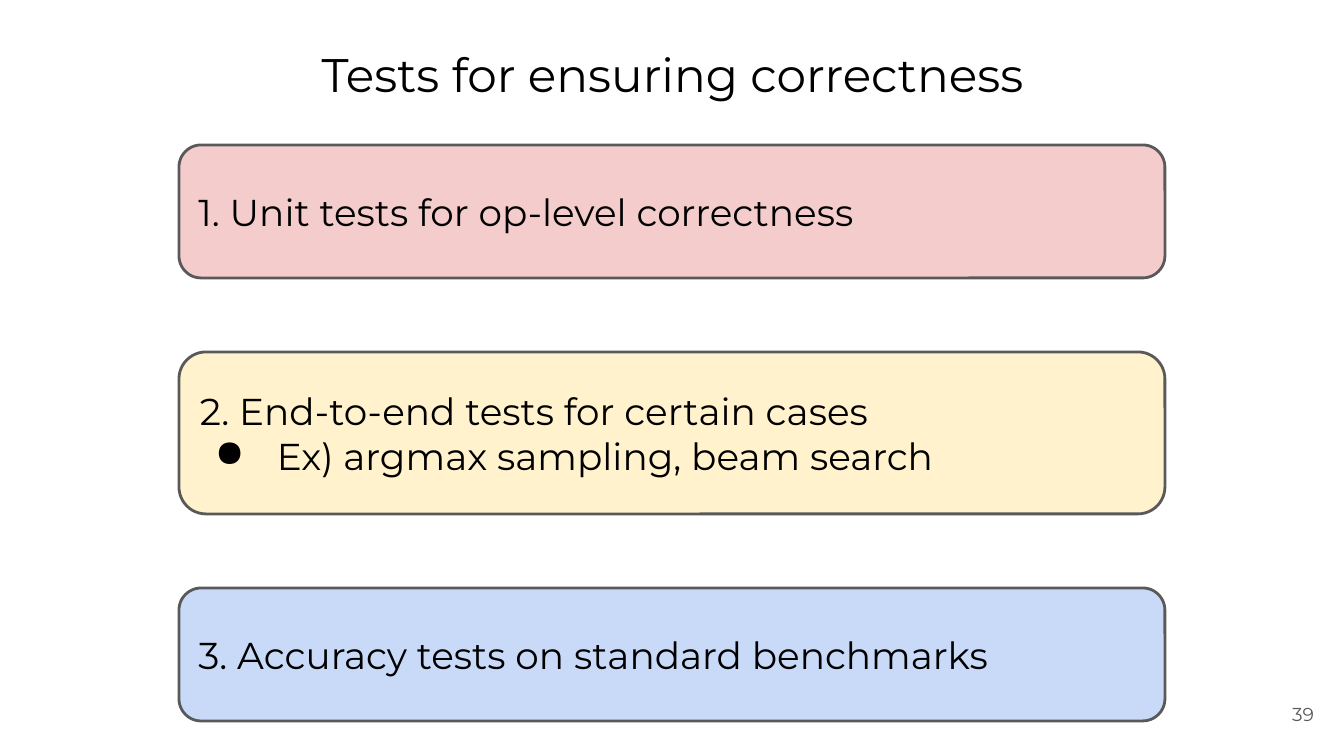
from lxml import etree
from pptx import Presentation
from pptx.dml.color import RGBColor
from pptx.enum import shapes, text
from pptx.oxml.ns import qn
from pptx.util import Pt

# Content
TITLE = "Tests for ensuring correctness"
PAGE_NUMBER = "39"
PINK = RGBColor(0xF4, 0xCC, 0xCC)
YELLOW = RGBColor(0xFF, 0xF2, 0xCC)
BLUE = RGBColor(0xC9, 0xDA, 0xF8)
BLACK = RGBColor(0, 0, 0)
GRAY = RGBColor(0x59, 0x59, 0x59)
TESTS = [  # fill, height, heading, bullets
    (PINK, 133, "1. Unit tests for op-level correctness", []),
    (YELLOW, 162, "2. End-to-end tests for certain cases",
     ["Ex) argmax sampling, beam search"]),
    (BLUE, 133, "3. Accuracy tests on standard benchmarks", []),
]

# Layout in px
SLIDE_WIDTH, SLIDE_HEIGHT = 1344, 756
CARD_LEFT, CARD_TOP, CARD_WIDTH, CARD_GAP = 179, 145, 986, 74
INSET = 13
BULLET_INDENT, BULLET_HANGING = 77, 62
FONT = "Montserrat"


def px(length):
    return round(length * 914400 / 134.4)


def add_bullet(paragraph):
    properties = paragraph._p.get_or_add_pPr()
    properties.set("marL", str(px(BULLET_INDENT)))
    properties.set("indent", str(-px(BULLET_HANGING)))
    etree.SubElement(properties, qn("a:buChar")).set("char", "●")


def write(shape, content, bullets=(), size=20, color=BLACK,
          align=text.PP_ALIGN.LEFT, anchor=text.MSO_ANCHOR.MIDDLE):
    frame = shape.text_frame
    frame.word_wrap = True
    frame.auto_size = text.MSO_AUTO_SIZE.NONE
    frame.vertical_anchor = anchor
    frame.margin_left = frame.margin_right = px(INSET)
    frame.margin_top = frame.margin_bottom = px(INSET)
    for index, line in enumerate([content, *bullets]):
        paragraph = frame.add_paragraph() if index else frame.paragraphs[0]
        paragraph.alignment = align
        if index:
            add_bullet(paragraph)
        run = paragraph.add_run()
        run.text = line
        run.font.name = FONT
        run.font.size = Pt(size)
        run.font.color.rgb = color


presentation = Presentation()
presentation.slide_width = px(SLIDE_WIDTH)
presentation.slide_height = px(SLIDE_HEIGHT)
slide = presentation.slides.add_slide(presentation.slide_layouts[5])

# Title
title = slide.shapes.title
title.left, title.top, title.width, title.height = map(px, (46, 32, 1253, 85))
write(title, TITLE, size=25.2, align=text.PP_ALIGN.CENTER,
      anchor=text.MSO_ANCHOR.TOP)

# Test cards
top = CARD_TOP
for fill, height, heading, bullets in TESTS:
    card = slide.shapes.add_shape(
        shapes.MSO_SHAPE.ROUNDED_RECTANGLE,
        px(CARD_LEFT), px(top), px(CARD_WIDTH), px(height))
    card.shadow.inherit = False
    card.fill.solid()
    card.fill.fore_color.rgb = fill
    card.line.color.rgb = GRAY
    card.line.width = Pt(1.5)
    write(card, heading, bullets)
    top += height + CARD_GAP

# Page number
number = slide.shapes.add_textbox(*map(px, (1246, 685, 81, 58)))
write(number, PAGE_NUMBER, size=10, color=GRAY, align=text.PP_ALIGN.RIGHT)

presentation.save("out.pptx")
